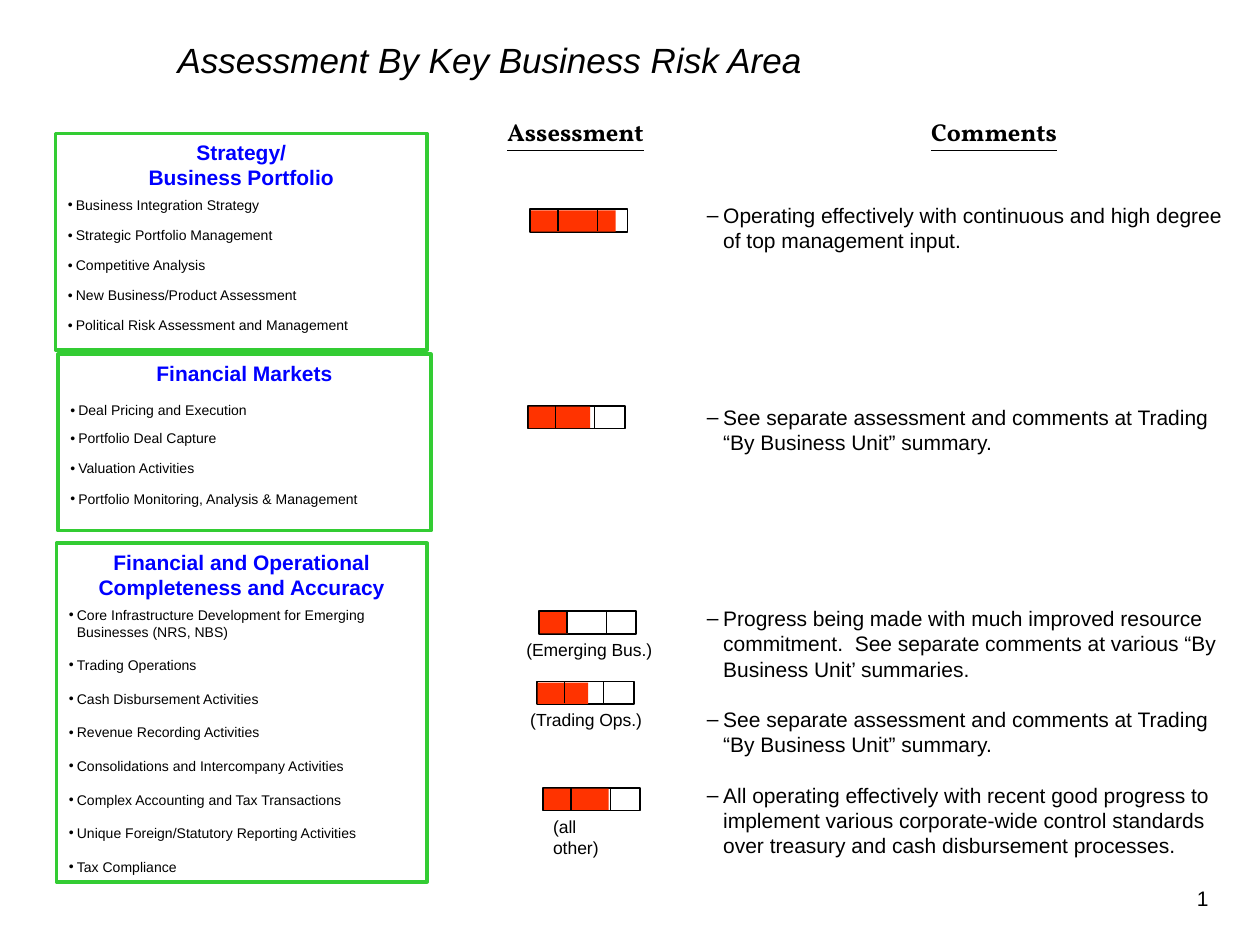
import pptx
import pptx.dml.color
import pptx.enum.shapes
import pptx.enum.text
import pptx.oxml.ns
import pptx.util
from lxml import etree
from pptx.util import Cm, Pt

ALIGN = pptx.enum.text.PP_ALIGN
RECTANGLE = pptx.enum.shapes.MSO_SHAPE.RECTANGLE
STRAIGHT = pptx.enum.shapes.MSO_CONNECTOR.STRAIGHT

THEME = {
    "black": "000000", "white": "FFFFFF", "frame": "33CC33", "rating": "FF3300",
    "title": {"name": "Arial", "size": 20, "color": "000000", "italic": True},
    "column": {"name": "Vollkorn", "size": 14, "color": "000000", "bold": True, "underline": True},
    "area": {"name": "Arial", "size": 12, "color": "0000FF", "bold": True},
    "item": {"name": "Arial", "size": 8, "color": "000000"},
    "body": {"name": "Arial", "size": 12, "color": "000000"},
    "caption": {"name": "Arial", "size": 10, "color": "000000"},
}

# Boxes are left, top, width, height in cm; gaps are points before each item.
RISK_AREAS = [
    {"box": (1.12, 2.69, 7.49, 4.37), "heading": ["Strategy/", "Business Portfolio"],
     "items": ["Business Integration Strategy", "Strategic Portfolio Management",
               "Competitive Analysis", "New Business/Product Assessment",
               "Political Risk Assessment and Management"],
     "gaps": [4.8, 8.6, 8.6, 8.6, 8.6], "spacing": 0.9},
    {"box": (1.17, 7.14, 7.52, 3.56), "heading": ["Financial Markets"],
     "items": ["Deal Pricing and Execution", "Portfolio Deal Capture",
               "Valuation Activities", "Portfolio Monitoring, Analysis & Management"],
     "gaps": [10.4, 7.4, 8.6, 8.6], "spacing": 0.9},
    {"box": (1.14, 10.95, 7.47, 6.83),
     "heading": ["Financial and Operational", "Completeness and Accuracy"],
     "items": ["Core Infrastructure Development for Emerging Businesses (NRS, NBS)",
               "Trading Operations", "Cash Disbursement Activities",
               "Revenue Recording Activities", "Consolidations and Intercompany Activities",
               "Complex Accounting and Tax Transactions",
               "Unique Foreign/Statutory Reporting Activities", "Tax Compliance"],
     "gaps": [3.8] + [9.6] * 7, "spacing": 1.0},
]

LABELS = [
    ("Assessment", "column", (9.98, 2.24, 3.43, 0.84)),
    ("Comments", "column", (18.52, 2.24, 3.18, 0.84)),
    ("(Emerging Bus.)", "caption", (10.36, 12.75, 3.05, 0.69)),
    ("(Trading Ops.)", "caption", (10.44, 14.17, 2.77, 0.69)),
    ("(all other)", "caption", (10.9, 16.33, 1.98, 0.69)),
    ("1", "body", (23.88, 17.73, 0.74, 0.76)),
]

# Left, top and rated length in cm
GAUGES = [(10.69, 4.22, 1.7), (10.64, 8.18, 1.24), (10.87, 12.32, 0.56),
          (10.82, 13.74, 1.02), (10.95, 15.88, 1.3)]
GAUGE_WIDTH, GAUGE_HEIGHT = 1.96, 0.46
GAUGE_DIVIDERS = (0.56, 1.35)

# Text and blank lines before it
COMMENTS = [
    ("Operating effectively with continuous and high degree of top management input.", 0),
    ("See separate assessment and comments at Trading “By Business Unit” summary.", 6),
    ("Progress being made with much improved resource commitment.  See separate comments "
     "at various “By Business Unit’ summaries.", 6),
    ("See separate assessment and comments at Trading “By Business Unit” summary.", 1),
    ("All operating effectively with recent good progress to implement various "
     "corporate-wide control standards over treasury and cash disbursement processes.", 1),
]
BODY_LINE = 14.4


def rgb(value):
    return pptx.dml.color.RGBColor.from_string(value)


def add_bullet(paragraph, character, indent):
    properties = paragraph._p.get_or_add_pPr()
    properties.set("marL", str(Cm(indent)))
    properties.set("indent", str(-Cm(indent)))
    color = etree.SubElement(properties, pptx.oxml.ns.qn("a:buClr"))
    etree.SubElement(color, pptx.oxml.ns.qn("a:srgbClr"), val=THEME["black"])
    etree.SubElement(properties, pptx.oxml.ns.qn("a:buFont"), typeface="Arial")
    etree.SubElement(properties, pptx.oxml.ns.qn("a:buChar"), char=character)


def write(frame, text, style, bullet=None, **paragraph_format):
    """Add a paragraph, using the frame's empty first one when it is still free."""
    paragraph = frame.paragraphs[0]
    if paragraph.runs:
        paragraph = frame.add_paragraph()
    if bullet:
        add_bullet(paragraph, *bullet)
    for name, value in {"alignment": ALIGN.LEFT, **paragraph_format}.items():
        setattr(paragraph, name, value)
    run = paragraph.add_run()
    run.text = text
    for name, value in THEME[style].items():
        if name == "color":
            run.font.color.rgb = rgb(value)
        else:
            setattr(run.font, name, Pt(value) if name == "size" else value)


def add_rectangle(slide, box, fill=None, line=None, width=1):
    shape = slide.shapes.add_shape(RECTANGLE, *map(Cm, box))
    shape.shadow.inherit = False
    if fill:
        shape.fill.solid()
        shape.fill.fore_color.rgb = rgb(fill)
    else:
        shape.fill.background()
    if line:
        shape.line.color.rgb = rgb(line)
        shape.line.width = Pt(width)
    else:
        shape.line.fill.background()
    shape.text_frame.vertical_anchor = pptx.enum.text.MSO_ANCHOR.TOP
    return shape


def add_text_box(slide, box, wrap):
    frame = slide.shapes.add_textbox(*map(Cm, box)).text_frame
    frame.word_wrap = wrap
    return frame


def add_risk_area(slide, area):
    frame = add_rectangle(slide, area["box"], line=THEME["frame"], width=2).text_frame
    frame.word_wrap = True
    for text in area["heading"]:
        write(frame, text, "area", alignment=ALIGN.CENTER)
    for text, gap in zip(area["items"], area["gaps"]):
        write(frame, text, "item", bullet=("•", 0.16),
              space_before=Pt(gap), line_spacing=area["spacing"])


def add_gauge(slide, left, top, rated):
    add_rectangle(slide, (left, top, GAUGE_WIDTH, GAUGE_HEIGHT), THEME["white"], THEME["black"])
    add_rectangle(slide, (left + 0.02, top + 0.02, rated, GAUGE_HEIGHT - 0.03), THEME["rating"])
    for offset in GAUGE_DIVIDERS:
        x = Cm(left + offset)
        divider = slide.shapes.add_connector(STRAIGHT, x, Cm(top), x, Cm(top + GAUGE_HEIGHT - 0.02))
        divider.line.color.rgb = rgb(THEME["black"])
        divider.line.width = Pt(0.75)
        etree.SubElement(divider._element.spPr, pptx.oxml.ns.qn("a:effectLst"))


def main():
    presentation = pptx.Presentation()
    presentation.slide_width, presentation.slide_height = Cm(25.4), Cm(19.05)
    slide = presentation.slides.add_slide(presentation.slide_layouts[6])

    title = add_rectangle(slide, (3.33, 0.66, 14.61, 1.09), fill=THEME["white"])
    write(title.text_frame, "Assessment By Key Business Risk Area", "title")
    for area in RISK_AREAS:
        add_risk_area(slide, area)
    for text, style, box in LABELS:
        write(add_text_box(slide, box, wrap=False), text, style)

    comments = add_text_box(slide, (14.0, 3.96, 11.13, 16.51), wrap=True)
    for text, blank_lines in COMMENTS:
        write(comments, text, "body", bullet=("–", 0.33),
              space_before=Pt(blank_lines * BODY_LINE))
    for gauge in GAUGES:
        add_gauge(slide, *gauge)

    presentation.save("out.pptx")


if __name__ == "__main__":
    main()
